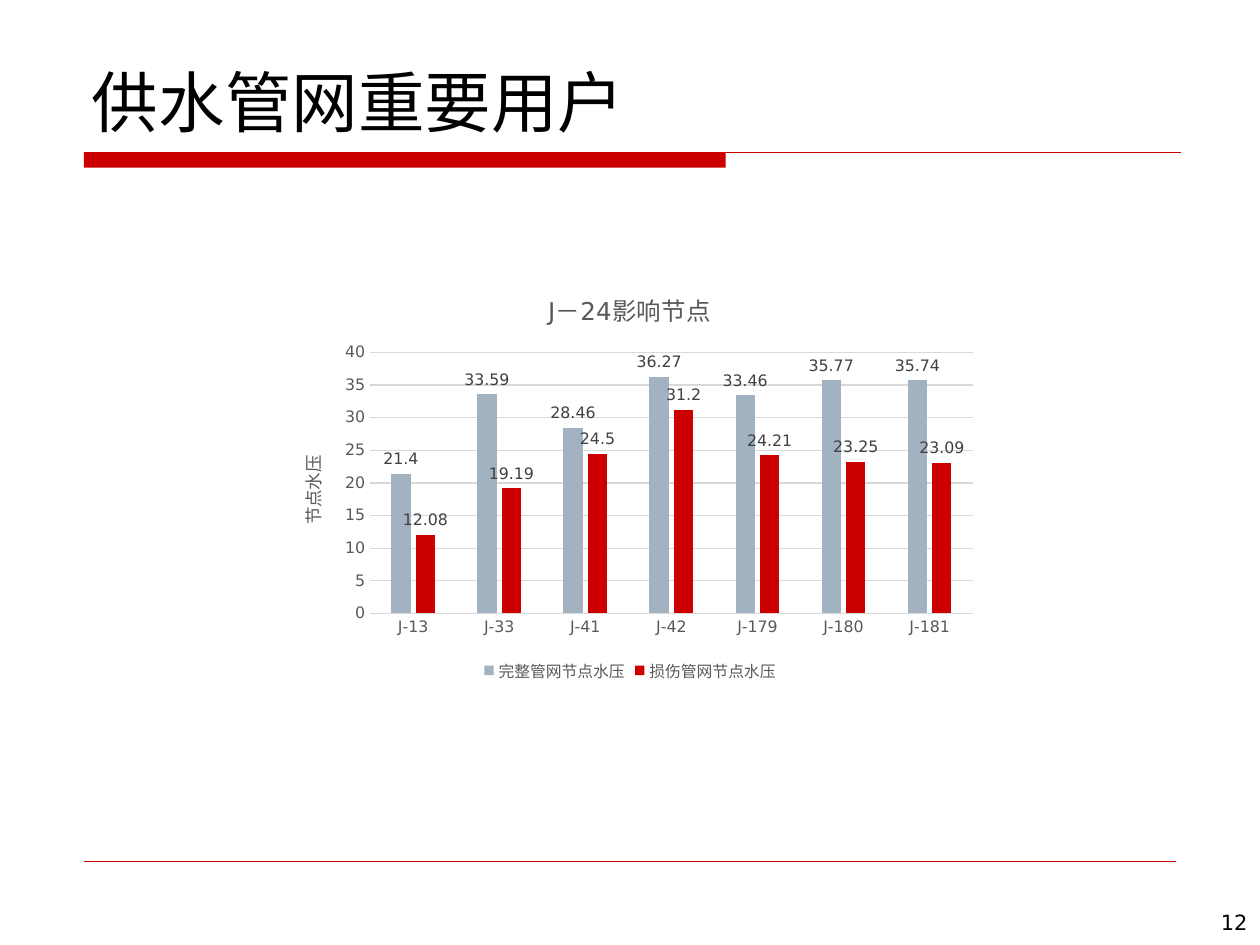
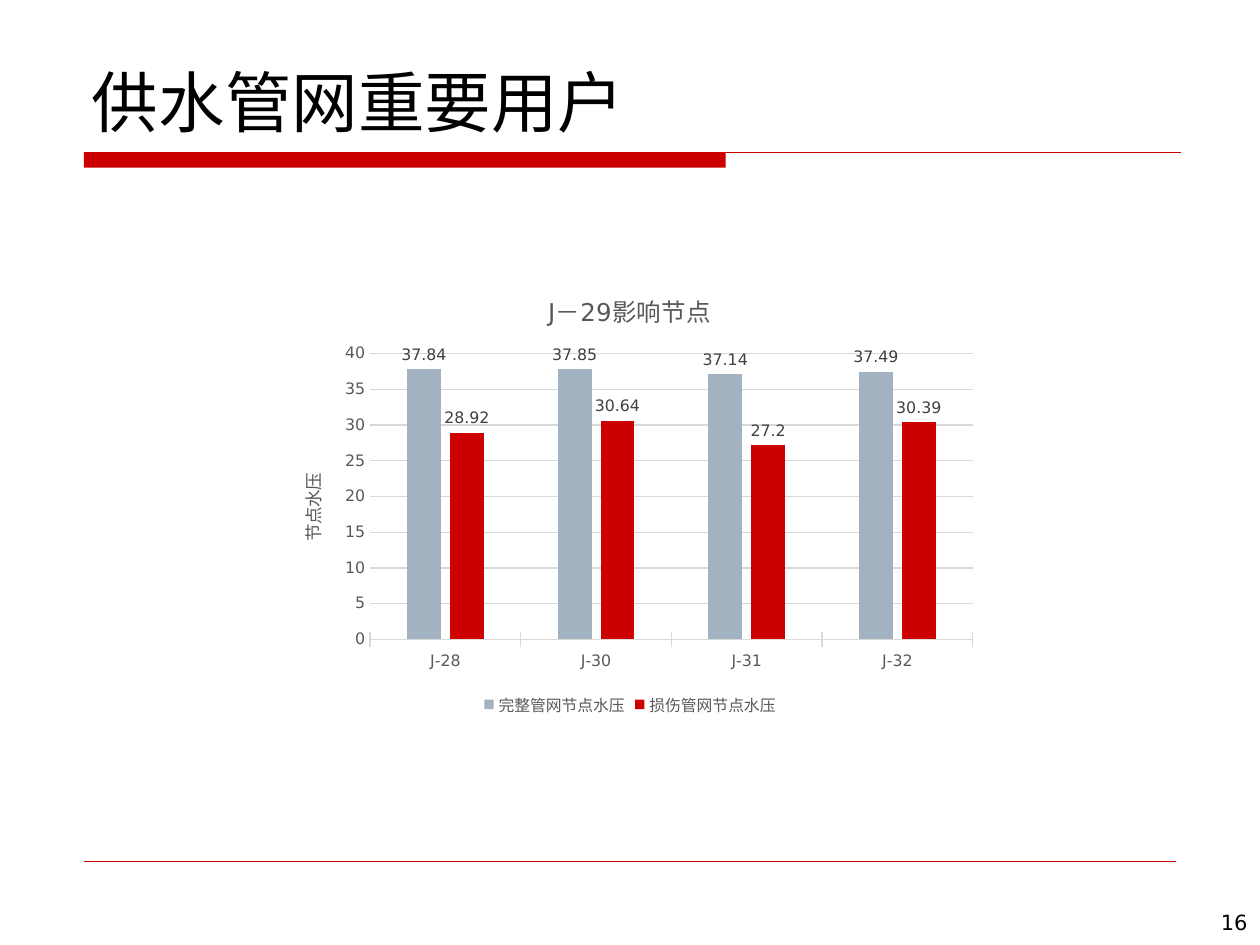
from lxml import etree
from pptx import Presentation
from pptx import util as u
from pptx.chart import data as cd
from pptx.dml.color import RGBColor
from pptx.enum import chart as ch, shapes, text
from pptx.oxml.ns import qn

COLS, ROWS = 60, 45
FONT = "DejaVu Sans"
RED, GREY_BLUE, BLACK = "CC0000", "A3B2C1", "000000"
LABEL, AXIS, GRID = "404040", "595959", "D9D9D9"
TITLE = "供水管网重要用户"
AXIS_TITLE = "节点水压"
SERIES = [("完整管网节点水压", GREY_BLUE), ("损伤管网节点水压", RED)]
LEFT, BAND_TOP = 4, 7.26


def rgb(value):
    return RGBColor.from_string(value)


class Deck:
    def __init__(self):
        self.prs = Presentation()
        self.prs.slide_width = u.Inches(10)
        self.prs.slide_height = u.Inches(7.5)
        self.s = None

    def x(self, cols):
        return round(self.prs.slide_width * cols / COLS)

    def y(self, rows):
        return round(self.prs.slide_height * rows / ROWS)

    def box(self, left, top, width, height):
        return self.x(left), self.y(top), self.x(width), self.y(height)

    def font(self, font, size, color):
        font.name = FONT
        font.size = u.Pt(size)
        font.bold = False
        font.color.rgb = rgb(color)

    def run(self, p, words, size, color):
        r = p.add_run()
        r.text = words
        self.font(r.font, size, color)

    def slide(self, number):
        self.s = self.prs.slides.add_slide(self.prs.slide_layouts[5])
        self.bar(LEFT, BAND_TOP, 30.56, 0.72)
        self.line(LEFT, BAND_TOP, 56.22, 0.75)
        self.line(LEFT, 41, 56, 0.25)
        self.title(TITLE)
        self.page_number(number)

    def title(self, words):
        sp = self.s.shapes.title
        sp.left, sp.top, sp.width, sp.height = self.box(3.78, 1, 52.5, 6)
        tf = sp.text_frame
        tf.auto_size = text.MSO_AUTO_SIZE.NONE
        tf.vertical_anchor = text.MSO_ANCHOR.BOTTOM
        p = tf.paragraphs[0]
        p.alignment = text.PP_ALIGN.LEFT
        self.run(p, words, 38, BLACK)

    def page_number(self, number):
        sp = self.s.shapes.add_textbox(*self.box(47, 43, 13, 2))
        tf = sp.text_frame
        tf.word_wrap = True
        p = tf.paragraphs[0]
        p.alignment = text.PP_ALIGN.RIGHT
        self.run(p, str(number), 12, BLACK)

    def bar(self, left, top, width, height):
        sp = self.s.shapes.add_shape(
            shapes.MSO_SHAPE.RECTANGLE, *self.box(left, top, width, height))
        sp.shadow.inherit = False
        sp.fill.solid()
        sp.fill.fore_color.rgb = rgb(RED)
        sp.line.fill.background()

    def line(self, start, row, end, width):
        sp = self.s.shapes.add_connector(
            shapes.MSO_CONNECTOR.STRAIGHT,
            self.x(start), self.y(row), self.x(end), self.y(row))
        sp.line.color.rgb = rgb(RED)
        sp.line.width = u.Pt(width)
        etree.SubElement(sp._element.spPr, qn("a:effectLst"))

    def chart(self, words, cats, values, height, tick):
        data = cd.CategoryChartData()
        data.categories = cats
        for (name, _), vals in zip(SERIES, values):
            data.add_series(name, vals)
        chart = self.s.shapes.add_chart(
            ch.XL_CHART_TYPE.COLUMN_CLUSTERED,
            *self.box(13, 12.84, 34, height), data).chart
        self.font(chart.font, 10, BLACK)
        self.chart_title(chart, words, 14)
        chart.has_legend = True
        chart.legend.position = ch.XL_LEGEND_POSITION.BOTTOM
        chart.legend.include_in_layout = False
        self.font(chart.legend.font, 9, AXIS)
        self.axes(chart, tick)
        self.columns(chart.plots[0])

    def chart_title(self, owner, words, size):
        p = (owner.chart_title if hasattr(owner, "chart_title")
             else owner.axis_title).text_frame.paragraphs[0]
        self.run(p, words, size, AXIS)

    def axes(self, chart, tick):
        cat, val = chart.category_axis, chart.value_axis
        for axis in (cat, val):
            self.font(axis.tick_labels.font, 9, AXIS)
            axis.minor_tick_mark = ch.XL_TICK_MARK.NONE
        cat.major_tick_mark = tick
        val.major_tick_mark = ch.XL_TICK_MARK.NONE
        val.minimum_scale, val.maximum_scale, val.major_unit = 0, 40, 5
        val.has_major_gridlines = True
        for line in (cat.format.line, val.major_gridlines.format.line):
            line.color.rgb = rgb(GRID)
            line.width = u.Pt(0.75)
        val.format.line.fill.background()
        self.chart_title(val, AXIS_TITLE, 10)

    def columns(self, plot):
        plot.gap_width = 219
        plot.overlap = -27
        plot.vary_by_categories = False
        for series, (_, color) in zip(plot.series, SERIES):
            series.format.fill.solid()
            series.format.fill.fore_color.rgb = rgb(color)
            labels = series.data_labels
            labels.show_value = True
            labels.position = ch.XL_LABEL_POSITION.OUTSIDE_END
            self.font(labels.font, 9, LABEL)


def main():
    deck = Deck()
    deck.slide(12)
    deck.chart(
        "J－24影响节点",
        ["J-13", "J-33", "J-41", "J-42", "J-179", "J-180", "J-181"],
        [[21.4, 33.59, 28.46, 36.27, 33.46, 35.77, 35.74],
         [12.08, 19.19, 24.5, 31.2, 24.21, 23.25, 23.09]],
        19.86, ch.XL_TICK_MARK.NONE)
    deck.slide(16)
    deck.chart(
        "J－29影响节点",
        ["J-28", "J-30", "J-31", "J-32"],
        [[37.84, 37.85, 37.14, 37.49],
         [28.92, 30.64, 27.2, 30.39]],
        21.48, ch.XL_TICK_MARK.CROSS)
    deck.prs.save("out.pptx")


if __name__ == "__main__":
    main()
